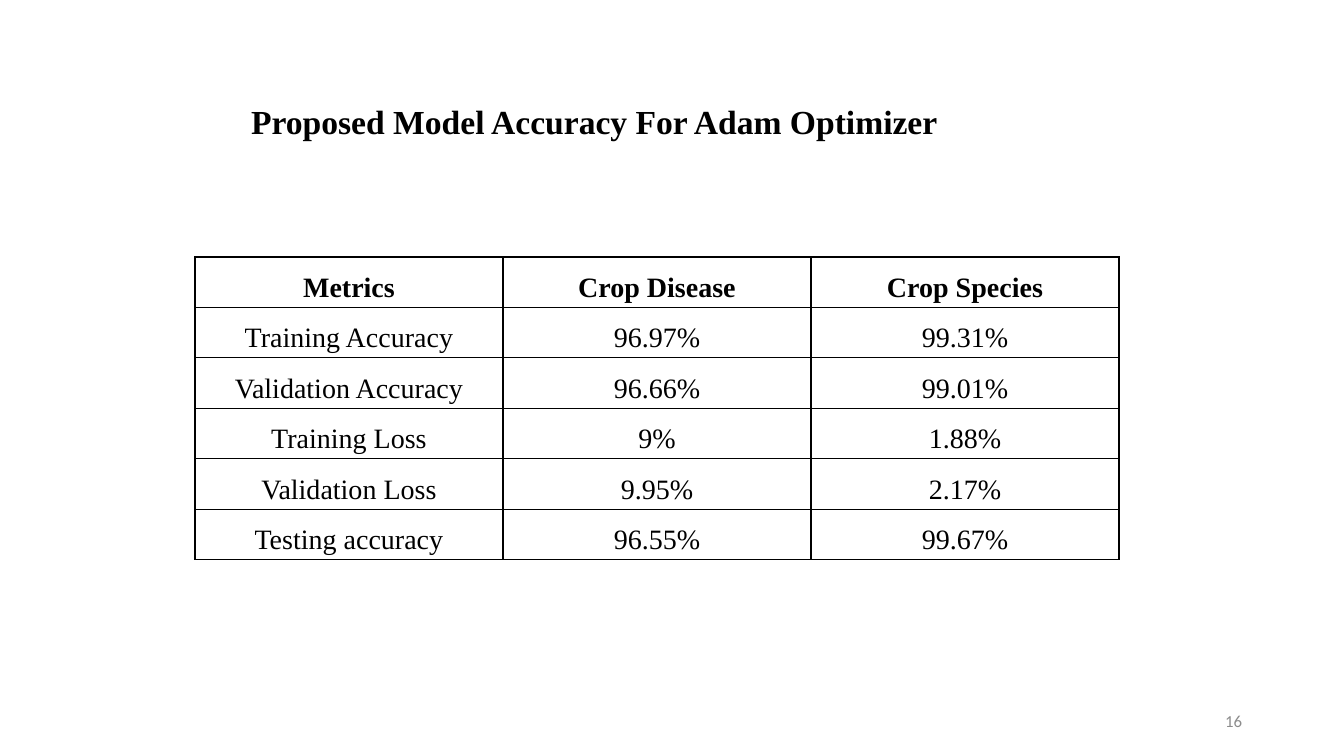
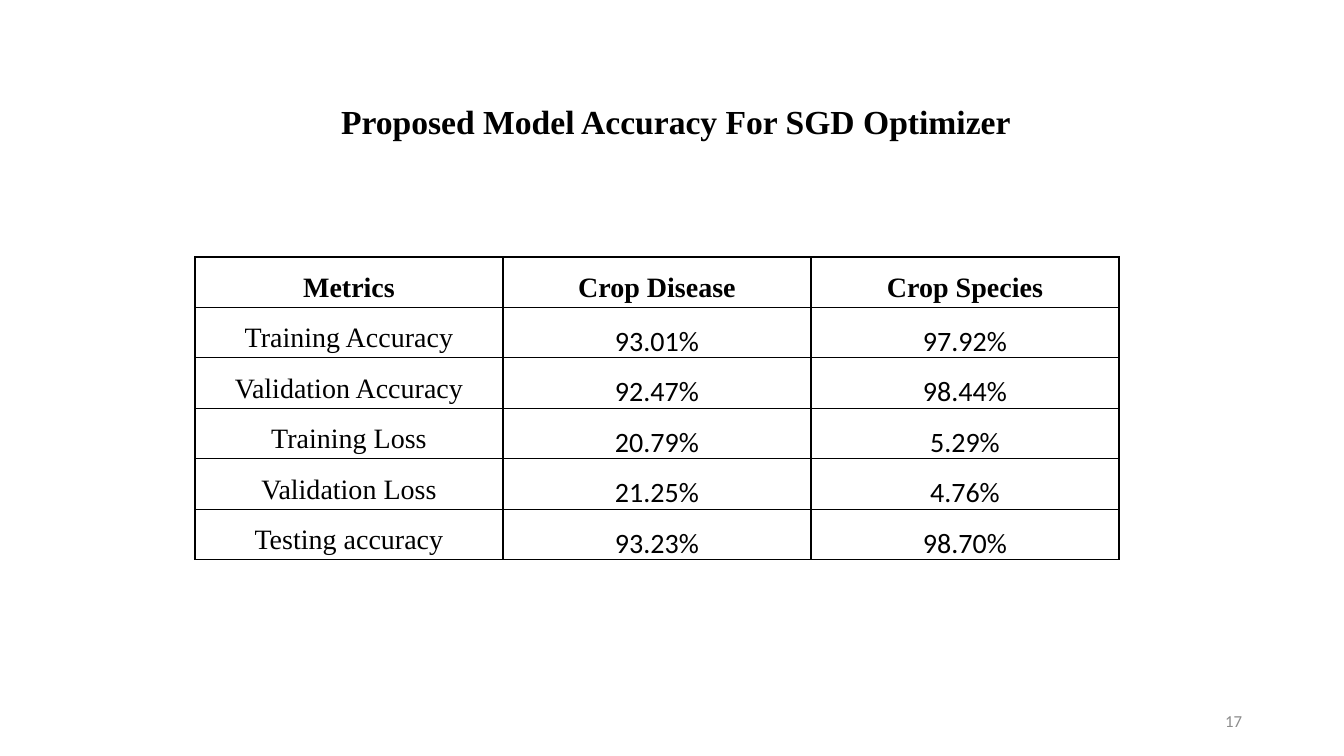
from lxml import etree
from pptx import Presentation
from pptx.dml.color import RGBColor
from pptx.enum.text import MSO_ANCHOR, MSO_AUTO_SIZE, PP_ALIGN
from pptx.oxml.ns import qn
from pptx.util import Emu, Pt

LEFT, CENTER, RIGHT = PP_ALIGN.LEFT, PP_ALIGN.CENTER, PP_ALIGN.RIGHT
TOP, MIDDLE = MSO_ANCHOR.TOP, MSO_ANCHOR.MIDDLE
GROW = MSO_AUTO_SIZE.SHAPE_TO_FIT_TEXT

BLACK = RGBColor(0x00, 0x00, 0x00)
WHITE = RGBColor(0xFF, 0xFF, 0xFF)
GRAY = RGBColor(0x8C, 0x8C, 0x8C)
SERIF, SANS = "Times New Roman", "Calibri"

# Content
HEADER = ("Metrics", "Crop Disease", "Crop Species")
METRICS = ("Training Accuracy", "Validation Accuracy", "Training Loss",
           "Validation Loss", "Testing accuracy")
SLIDES = [
    {"title": "Proposed Model Accuracy For Adam Optimizer",
     "title_box": (241, 96, 718, 50), "value_font": SERIF, "number": "16",
     "disease": ("96.97%", "96.66%", "9%", "9.95%", "96.55%"),
     "species": ("99.31%", "99.01%", "1.88%", "2.17%", "99.67%")},
    {"title": "Proposed Model Accuracy For SGD Optimizer",
     "title_box": (331, 96, 737, 50), "value_font": SANS, "number": "17",
     "disease": ("93.01%", "92.47%", "20.79%", "21.25%", "93.23%"),
     "species": ("97.92%", "98.44%", "5.29%", "4.76%", "98.70%")},
]

# Layout in px
SLIDE_W, SLIDE_H = 1344, 756
TABLE_X, TABLE_Y = 195, 257
COL_W, ROW_H = 308, 45
CELL_INSET = 7
NUMBER_BOX = (950, 701, 302, 40)


def px(n):
    return Emu(round(n * 914400 / 100.8))


def add_run(p, text, size, font, color=BLACK, bold=False):
    r = p.add_run()
    r.text = text
    r.font.size = Pt(size)
    r.font.name = font
    r.font.color.rgb = color
    r.font.bold = bold


def add_borders(cell):
    tcPr = cell._tc.get_or_add_tcPr()
    for i, side in enumerate(("a:lnL", "a:lnR", "a:lnT", "a:lnB")):
        ln = etree.Element(qn(side), w=str(Pt(1)))
        fill = etree.SubElement(ln, qn("a:solidFill"))
        etree.SubElement(fill, qn("a:srgbClr"), val=str(BLACK))
        tcPr.insert(i, ln)  # borders come before the cell fill


def add_title(s, text, box):
    sp = s.shapes.title
    sp.left, sp.top, sp.width, sp.height = map(px, box)
    tf = sp.text_frame
    tf.word_wrap = True
    tf.auto_size = GROW
    tf.vertical_anchor = TOP
    p = tf.paragraphs[0]
    p.alignment = LEFT
    add_run(p, text, 24, SERIF, bold=True)


def add_results(s, rows, value_font):
    cols = len(HEADER)
    table = s.shapes.add_table(len(rows), cols, px(TABLE_X), px(TABLE_Y),
                               px(COL_W * cols), px(ROW_H * len(rows))).table
    table.first_row = table.horz_banding = False
    for i, row in enumerate(rows):
        for j, text in enumerate(row):
            cell = table.cell(i, j)
            cell.margin_left = cell.margin_right = px(CELL_INSET)
            cell.margin_top = cell.margin_bottom = 0
            cell.fill.solid()
            cell.fill.fore_color.rgb = WHITE
            add_borders(cell)
            p = cell.text_frame.paragraphs[0]
            p.alignment = CENTER
            p.line_spacing = 1.5
            font = value_font if i and j else SERIF
            add_run(p, text, 20, font, bold=i == 0)


def add_number(s, number):
    tf = s.shapes.add_textbox(*map(px, NUMBER_BOX)).text_frame
    tf.word_wrap = True
    tf.vertical_anchor = MIDDLE
    p = tf.paragraphs[0]
    p.alignment = RIGHT
    add_run(p, number, 12, SANS, GRAY)


def main():
    prs = Presentation()
    prs.slide_width, prs.slide_height = px(SLIDE_W), px(SLIDE_H)
    title_only = prs.slide_layouts[5]
    for data in SLIDES:
        s = prs.slides.add_slide(title_only)
        add_title(s, data["title"], data["title_box"])
        rows = [HEADER, *zip(METRICS, data["disease"], data["species"])]
        add_results(s, rows, data["value_font"])
        add_number(s, data["number"])
    prs.save("out.pptx")


if __name__ == "__main__":
    main()
